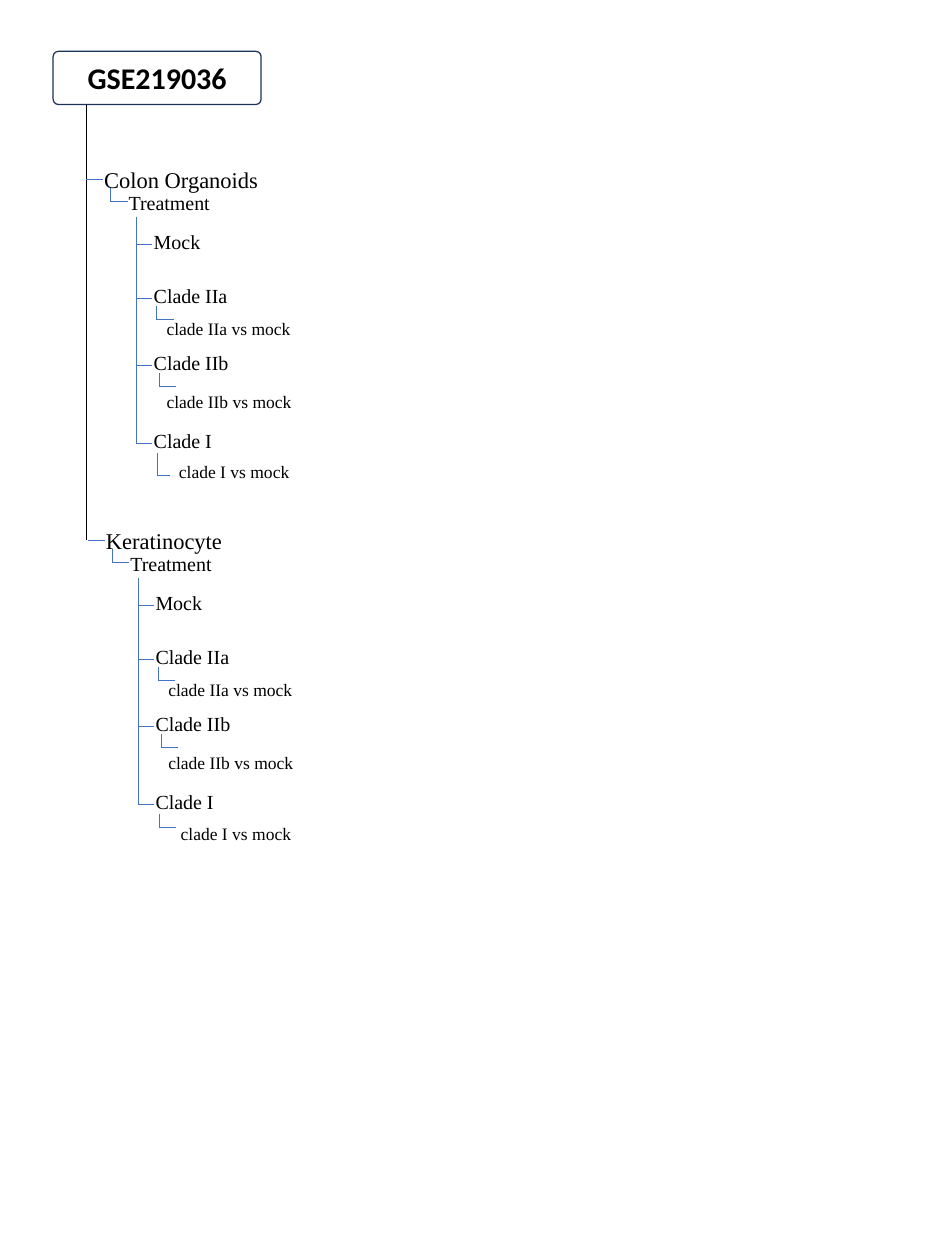
from dataclasses import dataclass
from typing import Any

from lxml import etree
from pptx import Presentation
from pptx.dml.color import RGBColor
from pptx.enum.shapes import MSO_CONNECTOR, MSO_SHAPE
from pptx.enum.text import MSO_ANCHOR, MSO_AUTO_SIZE, PP_ALIGN
from pptx.oxml.ns import qn
from pptx.util import Cm, Pt

STRAIGHT = MSO_CONNECTOR.STRAIGHT
ROUNDED = MSO_SHAPE.ROUNDED_RECTANGLE
MIDDLE = MSO_ANCHOR.MIDDLE
CENTER = PP_ALIGN.CENTER
GROW = MSO_AUTO_SIZE.SHAPE_TO_FIT_TEXT

BRANCHES = [
    ("Colon Organoids", 0, 0, (0.64, 0.36)),
    ("Keratinocyte", 0.05, 10.19, (0.38, 0.48)),
]
GROUPS = [("Mock", 6.35), ("Clade IIa", 7.87), ("Clade IIb", 9.78), ("Clade I", 11.96)]
COMPARISONS = [
    ("clade IIa vs mock", 4.45, 8.86, 4.42, 8.64),
    ("clade IIb vs mock", 4.45, 10.9, 4.5, 10.52),
    ("clade I vs mock", 4.8, 12.9, 4.45, 12.78),
]
ELBOW = (0.38, 0.48)


def color(value):
    return RGBColor.from_string(value)


@dataclass
class Tree:
    """Draws the parts of a sample tree on one page."""

    page: Any
    font: str = "Times New Roman"
    ink: str = "000000"
    accent: str = "4472C4"

    def add_span(self, para, text, size, font, bold=False):
        span = para.add_run()
        span.text = text
        span.font.size = Pt(size)
        span.font.name = font
        span.font.bold = bold
        span.font.color.rgb = color(self.ink)

    def root(self, text, left, top, width, height):
        box = self.page.shapes.add_shape(ROUNDED, Cm(left), Cm(top), Cm(width), Cm(height))
        box.shadow.inherit = False
        box.adjustments[0] = 0.1
        box.fill.solid()
        box.fill.fore_color.rgb = color("FFFFFF")
        box.line.color.rgb = color("1E3256")
        box.line.width = Pt(1)
        box.text_frame.vertical_anchor = MIDDLE
        para = box.text_frame.paragraphs[0]
        para.alignment = CENTER
        self.add_span(para, text, 24, "Calibri", True)

    def label(self, text, left, top, size):
        height = {18: 1.02, 16: 0.94, 14: 0.86}[size]
        box = self.page.shapes.add_textbox(Cm(left), Cm(top), Cm(5.13), Cm(height))
        box.text_frame.word_wrap = True
        box.text_frame.auto_size = GROW
        self.add_span(box.text_frame.paragraphs[0], text, size, self.font)

    def line(self, x1, y1, x2, y2, ink=None, shapes=None):
        shapes = self.page.shapes if shapes is None else shapes
        link = shapes.add_connector(STRAIGHT, Cm(x1), Cm(y1), Cm(x2), Cm(y2))
        link.line.color.rgb = color(ink or self.accent)
        link.line.width = Pt(0.5)
        etree.SubElement(link._element.spPr, qn("a:effectLst"))

    def elbow(self, x, y, drop, reach):
        shapes = self.page.shapes.add_group_shape().shapes
        self.line(x, y, x, y + drop, shapes=shapes)
        self.line(x, y + drop, x + reach, y + drop, shapes=shapes)

    def branch(self, name, dx, dy, last_elbow):
        self.line(2.44 + dx, 5.05 + dy, 2.92 + dx, 5.05 + dy)
        self.label(name, 2.69 + dx, 4.55 + dy, 18)
        self.elbow(3.12 + dx, 5.31 + dy, *ELBOW)
        self.label("Treatment", 3.38 + dx, 5.26 + dy, 16)

        stem = 3.84 + dx
        self.line(stem, 6.12 + dy, stem, 12.5 + dy)
        for group, top in GROUPS:
            tick = top + 0.54 + dy
            self.line(stem, tick, stem + 0.46, tick)
            self.label(group, 4.09 + dx, top + dy, 16)

        elbows = [ELBOW, ELBOW, last_elbow]
        for (text, left, top, x, y), size in zip(COMPARISONS, elbows):
            self.elbow(x + dx, y + dy, *size)
            self.label(text, left + dx, top + dy, 14)


def main():
    deck = Presentation()
    deck.slide_width = Cm(26.67)
    deck.slide_height = Cm(35.56)
    tree = Tree(deck.slides.add_slide(deck.slide_layouts[6]))
    tree.root("GSE219036", 1.5, 1.45, 5.87, 1.5)
    tree.line(2.44, 2.95, 2.44, 15.24, tree.ink)
    for branch in BRANCHES:
        tree.branch(*branch)
    deck.save("out.pptx")


if __name__ == "__main__":
    main()
